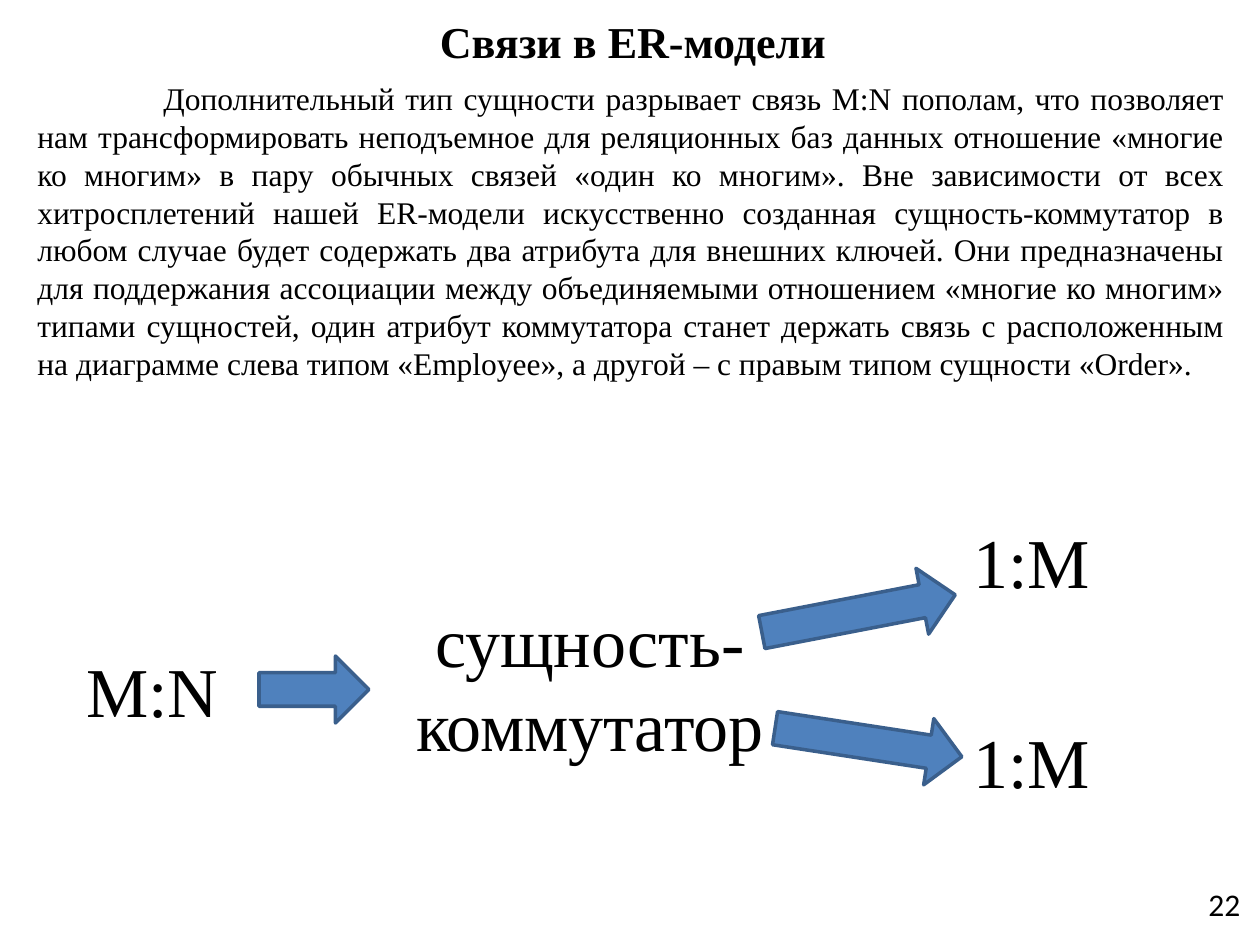
import pptx
import pptx.dml.color
import pptx.enum.shapes
import pptx.enum.text
import pptx.util
from dataclasses import dataclass

PX = 914400 / 126
ALIGN = pptx.enum.text.PP_ALIGN


@dataclass(frozen=True)
class Theme:
    text: str = "000000"
    arrow_fill: str = "4F81BD"
    arrow_line: str = "3A5F8C"
    serif: str = "Times New Roman"
    sans: str = "Calibri"
    title_size: float = 25.2
    body_size: int = 18
    diagram_size: int = 40
    line_width: int = 2


theme = Theme()


def px(*lengths):
    return [pptx.util.Emu(round(length * PX)) for length in lengths]


def write(box, text, size, font=theme.serif, align=ALIGN.LEFT, wrap=True, bold=False):
    frame = box.text_frame
    frame.word_wrap = wrap
    frame.text = text
    paragraph = frame.paragraphs[0]
    paragraph.alignment = align
    run_font = paragraph.runs[0].font
    run_font.name = font
    run_font.size = pptx.util.Pt(size)
    run_font.bold = bold
    run_font.color.rgb = pptx.dml.color.RGBColor.from_string(theme.text)
    return paragraph


deck = pptx.Presentation()
deck.slide_width, deck.slide_height = px(1260, 945)
slide = deck.slides.add_slide(deck.slide_layouts[5])
shapes = slide.shapes

title = shapes.title
title.left, title.top, title.width, title.height = px(28, 6, 1210, 69)
write(title, "Связи в ER-модели", theme.title_size, align=ALIGN.CENTER, bold=True)
title.text_frame.vertical_anchor = pptx.enum.text.MSO_ANCHOR.MIDDLE
title.text_frame.auto_size = pptx.enum.text.MSO_AUTO_SIZE.NONE

page_number = shapes.add_textbox(*px(1196, 879, 58, 50))
write(page_number, "22", theme.body_size, font=theme.sans, wrap=False)

explanation = shapes.add_textbox(*px(25, 73, 1212, 318))
explanation_paragraph = write(
    explanation,
    "Дополнительный тип сущности разрывает связь M:N пополам, что позволяет нам "
    "трансформировать неподъемное для реляционных баз данных отношение «многие ко "
    "многим» в пару обычных связей «один ко многим». Вне зависимости от всех "
    "хитросплетений нашей ER-модели искусственно созданная сущность-коммутатор в "
    "любом случае будет содержать два атрибута для внешних ключей. Они предназначены "
    "для поддержания ассоциации между объединяемыми отношением «многие ко многим» "
    "типами сущностей, один атрибут коммутатора станет держать связь с расположенным "
    "на диаграмме слева типом «Employee», а другой – с правым типом сущности «Order».",
    theme.body_size,
    align=ALIGN.JUSTIFY,
)
first_line_indent = px(126)[0]
explanation_paragraph._p.get_or_add_pPr().set("indent", str(first_line_indent))

diagram_labels = [
    ("M:N", (74, 641, 159, 97), ALIGN.LEFT, False),
    ("сущность-коммутатор", (362, 591, 456, 183), ALIGN.CENTER, True),
    ("1:M", (961, 512, 144, 97), ALIGN.LEFT, False),
    ("1:M", (961, 712, 144, 97), ALIGN.LEFT, False),
]
for text, bounds, align, wrap in diagram_labels:
    label = shapes.add_textbox(*px(*bounds))
    write(label, text, theme.diagram_size, align=align, wrap=wrap)

ARROW_HEIGHT = 67
for left, top, width, rotation in [
    (259, 656, 110, 0),
    (760, 580, 197, 349.1),
    (774, 709, 189, 8.7),
]:
    arrow = shapes.add_shape(
        pptx.enum.shapes.MSO_SHAPE.RIGHT_ARROW, *px(left, top, width, ARROW_HEIGHT)
    )
    arrow.rotation = rotation
    arrow.shadow.inherit = False
    arrow.fill.solid()
    arrow.fill.fore_color.rgb = pptx.dml.color.RGBColor.from_string(theme.arrow_fill)
    arrow.line.color.rgb = pptx.dml.color.RGBColor.from_string(theme.arrow_line)
    arrow.line.width = pptx.util.Pt(theme.line_width)

deck.save("out.pptx")
